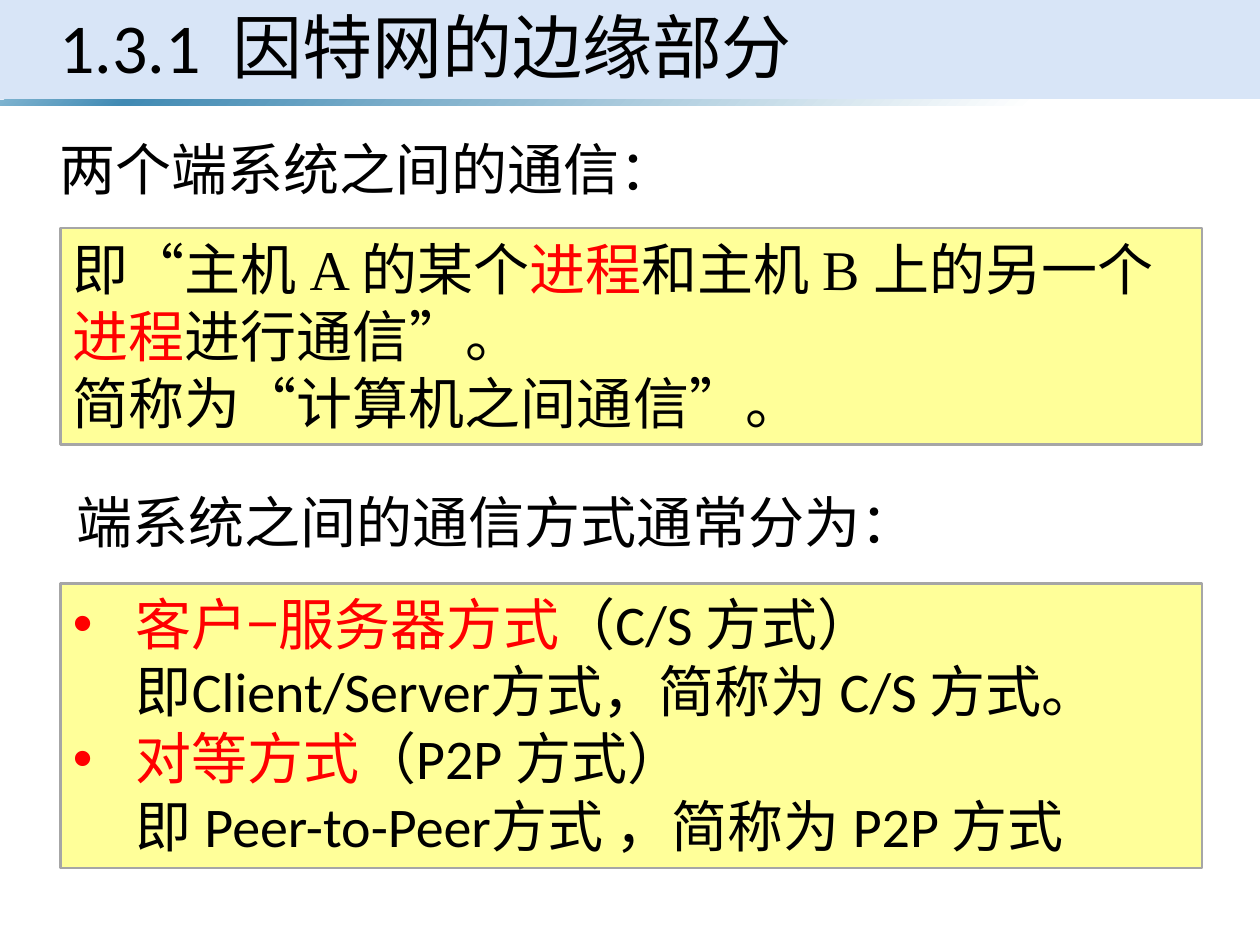
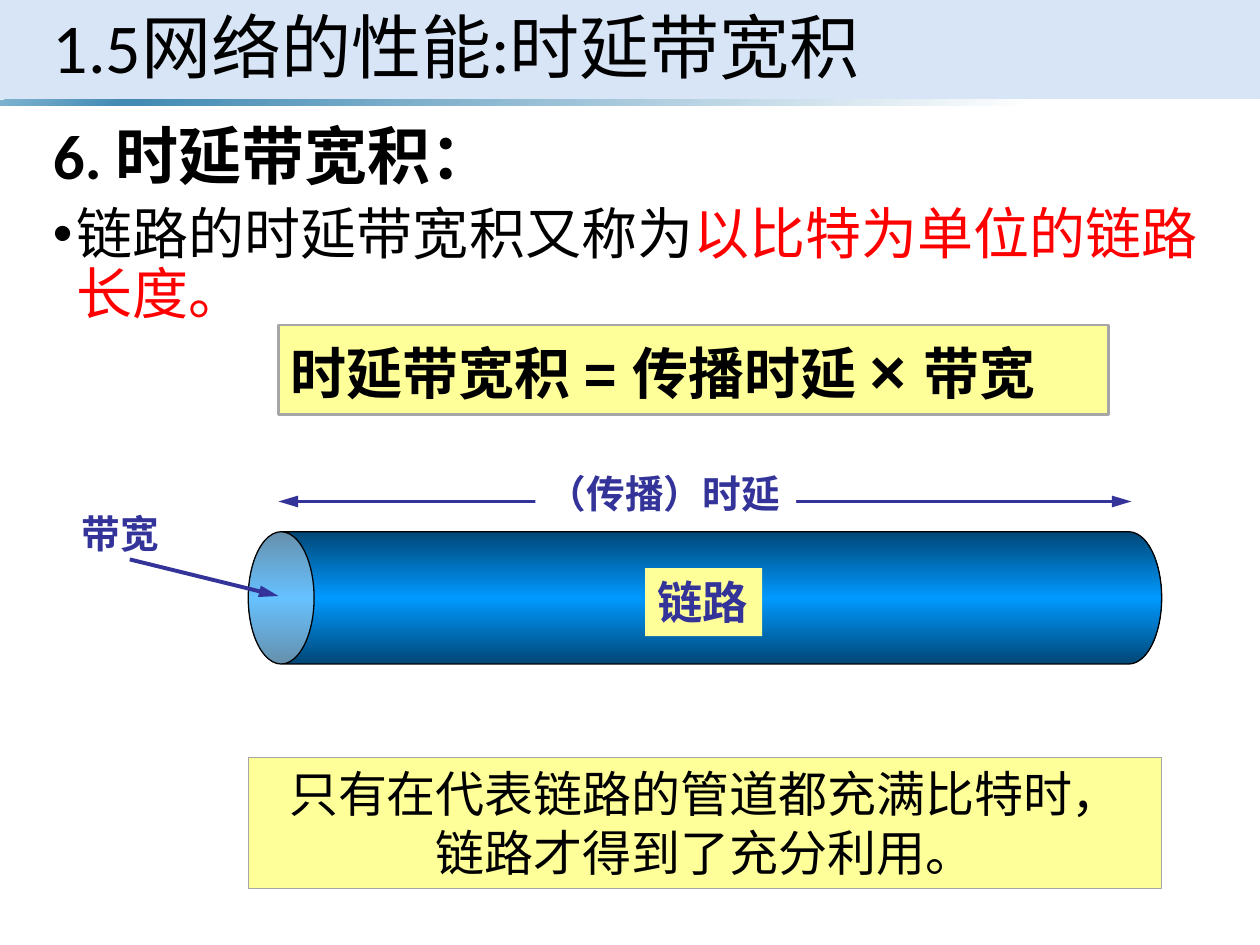
"""Builds two slides on end-system communication and the delay-bandwidth product."""
from lxml import etree
from pptx import Presentation
from pptx.dml.color import RGBColor
from pptx.enum.shapes import MSO_CONNECTOR, MSO_SHAPE
from pptx.enum.text import MSO_ANCHOR, MSO_AUTO_SIZE, PP_ALIGN
from pptx.oxml.ns import qn
from pptx.util import Inches, Pt

RECT, CAN = MSO_SHAPE.RECTANGLE, MSO_SHAPE.CAN
STRAIGHT = MSO_CONNECTOR.STRAIGHT
LEFT, CENTER = PP_ALIGN.LEFT, PP_ALIGN.CENTER
TOP, MIDDLE = MSO_ANCHOR.TOP, MSO_ANCHOR.MIDDLE
GROW, FIXED = MSO_AUTO_SIZE.SHAPE_TO_FIT_TEXT, MSO_AUTO_SIZE.NONE

BLACK = RGBColor(0x00, 0x00, 0x00)
WHITE = RGBColor(0xFF, 0xFF, 0xFF)
RED = RGBColor(0xFF, 0x00, 0x00)
NAVY = RGBColor(0x33, 0x33, 0x99)
YELLOW = RGBColor(0xFF, 0xFF, 0x99)
GRAY = RGBColor(0xA6, 0xA6, 0xA6)
BAND = RGBColor(0xC8, 0xDA, 0xF4)
SKY = RGBColor(0x7E, 0xB3, 0xD0)
TEAL = RGBColor(0x41, 0x8A, 0xB3)
PIPE_DARK = RGBColor(0x00, 0x47, 0x76)
PIPE_LIGHT = RGBColor(0x00, 0x99, 0xFF)


def place(shape, box):
    """Move and size a shape to (left, top, width, height) in inches."""
    shape.left, shape.top, shape.width, shape.height = map(Inches, box)


def set_bullet(p, margin=0, hanging=0, bullet=None):
    """Set the indents of a paragraph and its bullet, or none."""
    pPr = p._p.get_or_add_pPr()
    pPr.set("marL", str(Inches(margin)))
    pPr.set("indent", str(-Inches(hanging)))
    if bullet:
        etree.SubElement(pPr, qn("a:buFont"), typeface="Arial")
        etree.SubElement(pPr, qn("a:buChar"), char=bullet)
    else:
        etree.SubElement(pPr, qn("a:buNone"))


def add_text(p, runs, size, font="Calibri", color=BLACK, bold=False, align=LEFT):
    """Write runs, each a text or (text, overriding colour, overriding size)."""
    p.alignment = align
    for run in runs:
        text, run_color, run_size = run if isinstance(run, tuple) else (run, color, size)
        r = p.add_run()
        r.text = text
        r.font.name, r.font.size, r.font.bold = font, Pt(run_size), bold
        r.font.color.rgb = run_color


def paragraph(tf, index):
    """Return the first paragraph of a text frame or add another."""
    return tf.paragraphs[0] if index == 0 else tf.add_paragraph()


def space(p, before=0):
    """Apply the line spacing of titles and lists."""
    p.line_spacing = 0.9
    p.space_before = Pt(before)


def set_gradient(shape, stops, angle):
    """Fill a shape with a linear gradient of (position, colour) stops."""
    shape.fill.gradient()
    grad = shape._element.spPr.find(qn("a:gradFill"))
    stop_list = grad.find(qn("a:gsLst"))
    for stop in list(stop_list):
        stop_list.remove(stop)
    for position, color in stops:
        gs = etree.SubElement(stop_list, qn("a:gs"), pos=str(position * 1000))
        etree.SubElement(gs, qn("a:srgbClr"), val=str(color))
    grad.find(qn("a:lin")).set("ang", str(angle * 60000))


def add_shape(slide, kind, box, fill=None, line=None, width=1.5):
    """Add a preset shape with a plain fill and an optional line."""
    sp = slide.shapes.add_shape(kind, *map(Inches, box))
    sp.shadow.inherit = False
    if fill is not None:
        sp.fill.solid()
        sp.fill.fore_color.rgb = fill
    if line is None:
        sp.line.fill.background()
    else:
        sp.line.color.rgb = line
        sp.line.width = Pt(width)
    return sp


def add_box(slide, box, lines, size, fill=YELLOW, line=None, width=1.5, wrap=True, **style):
    """Add a filled rectangle holding lines of runs and return it."""
    sp = add_shape(slide, RECT, box, fill, line, width)
    tf = sp.text_frame
    tf.word_wrap, tf.auto_size, tf.vertical_anchor = wrap, GROW, TOP
    for i, runs in enumerate(lines):
        add_text(paragraph(tf, i), runs, size, **style)
    return sp


def add_arrow(slide, start, end, ends):
    """Add a navy line with arrowheads at the given ends."""
    cx = slide.shapes.add_connector(STRAIGHT, *map(Inches, start + end))
    cx.line.color.rgb = NAVY
    cx.line.width = Pt(2.25)
    for end_name in ends:
        etree.SubElement(cx.line._get_or_add_ln(), qn("a:" + end_name),
                         type="triangle", w="med", len="lg")
    etree.SubElement(cx._element.spPr, qn("a:effectLst"))


def move_bands_to_master(prs, slide):
    """Draw the title band and its rule, and move them behind every slide."""
    band = add_shape(slide, RECT, (0, 0, 10, 0.79), BAND)
    color = band._element.spPr.find(qn("a:solidFill"))[0]
    etree.SubElement(color, qn("a:alpha"), val="70000")
    rule = add_shape(slide, RECT, (0, 0.79, 10, 0.05))
    set_gradient(rule, [(0, SKY), (10, TEAL), (82, WHITE), (96, WHITE)], 45)
    for i, sp in enumerate((band, rule)):
        prs.slide_master.shapes.element.insert(2 + i, sp._element)


def set_title(slide, text, left, width):
    """Write the slide title in the band."""
    title = slide.shapes.title
    place(title, (left, 0, width, 0.81))
    tf = title.text_frame
    tf.auto_size, tf.vertical_anchor = FIXED, MIDDLE
    space(tf.paragraphs[0])
    add_text(tf.paragraphs[0], [text], 40)


def prepare_body(slide, box):
    """Place the body placeholder and return its text frame."""
    body = slide.placeholders[1]
    place(body, box)
    tf = body.text_frame
    tf.auto_size, tf.vertical_anchor = FIXED, TOP
    return tf


def add_item(p, runs, size, bold=False, **indents):
    """Write one list paragraph with its spacing and bullet."""
    space(p, 7.5)
    set_bullet(p, **indents)
    add_text(p, runs, size, bold=bold)


def build_edge_slide(slide):
    """Fill the slide on communication between end systems."""
    set_title(slide, "1.3.1  因特网的边缘部分", 0.37, 9.27)
    tf = prepare_body(slide, (0.37, 1.08, 9.27, 0.65))
    add_item(tf.paragraphs[0], ["两个端系统之间的通信："], 32)
    process = ("进程", RED, 32)
    add_box(slide, (0.48, 1.81, 9.06, 1.72),
            [["即“主机 A 的某个", process, "和主机 B 上的另一个", process, "进行通信”。"],
             ["简称为“计算机之间通信”。"]],
            32, line=GRAY, font="Times New Roman")

    modes = slide.shapes.add_textbox(*map(Inches, (0.32, 3.88, 9.33, 0.73)))
    modes.text_frame.word_wrap = True
    add_item(modes.text_frame.paragraphs[0], ["端系统之间的通信方式通常分为："], 32, margin=0.19)
    sp = add_box(slide, (0.48, 4.63, 9.06, 2.26),
                 [[("客户−服务器方式", RED, 32), "（C/S 方式）"],
                  ["即Client/Server方式，简称为 C/S 方式。"],
                  [("对等方式", RED, 32), "（P2P 方式）"],
                  ["即 Peer-to-Peer方式 ，简称为 P2P 方式"]],
                 32, line=GRAY)
    for i, p in enumerate(sp.text_frame.paragraphs):
        if i % 2:
            p.level = 1
            set_bullet(p, 0.5)
        else:
            set_bullet(p, 0.5, 0.5, "•")


def build_delay_slide(slide):
    """Fill the slide on the delay-bandwidth product."""
    set_title(slide, "1.5网络的性能:时延带宽积", 0.32, 9.33)
    tf = prepare_body(slide, (0.32, 0.94, 9.33, 1.93))
    add_item(tf.paragraphs[0], ["6. 时延带宽积："], 36, bold=True)
    add_item(tf.add_paragraph(),
             ["链路的时延带宽积又称为", ("以比特为单位的链路长度。", RED, 32)],
             32, margin=0.19, hanging=0.19, bullet="•")

    pipe = add_shape(slide, CAN, (5.07, 1.12, 1.05, 7.25), line=BLACK, width=0.75)
    pipe.rotation = 270
    pipe.adjustments[0] = 0.498
    set_gradient(pipe, [(0, PIPE_DARK), (50, PIPE_LIGHT), (100, PIPE_DARK)], 0)
    add_arrow(slide, (2.21, 3.98), (8.98, 3.98), ("headEnd", "tailEnd"))
    for box, text, size, fill, font in (
            ((4.25, 3.68, 2.07, 0.47), "（传播）时延", 22.1, WHITE, "Calibri"),
            ((5.12, 4.51, 0.93, 0.54), "链路", 25.9, YELLOW, "Arial"),
            ((0.55, 4, 0.83, 0.47), "带宽", 22.1, WHITE, "Calibri")):
        add_box(slide, box, [[text]], size, fill=fill, wrap=False,
                font=font, color=NAVY, bold=True)
    add_arrow(slide, (1.03, 4.44), (2.21, 4.73), ("tailEnd",))

    add_box(slide, (2.21, 2.58, 6.59, 0.71),
            [["时延带宽积 = 传播时延 ", ("× ", BLACK, 36), "带宽"]],
            32, line=GRAY, wrap=False, font="Arial", bold=True)
    add_box(slide, (1.97, 6.01, 7.25, 1.04),
            [["只有在代表链路的管道都充满比特时，"], ["链路才得到了充分利用。"]],
            28, line=GRAY, width=0.75, font="Arial", align=CENTER)


def main():
    """Build and save the presentation."""
    prs = Presentation()
    prs.slide_width, prs.slide_height = Inches(10), Inches(7.5)
    layout = prs.slide_layouts[1]
    edge, delay = (prs.slides.add_slide(layout) for _ in range(2))
    move_bands_to_master(prs, edge)
    build_edge_slide(edge)
    build_delay_slide(delay)
    prs.save("out.pptx")


if __name__ == "__main__":
    main()
